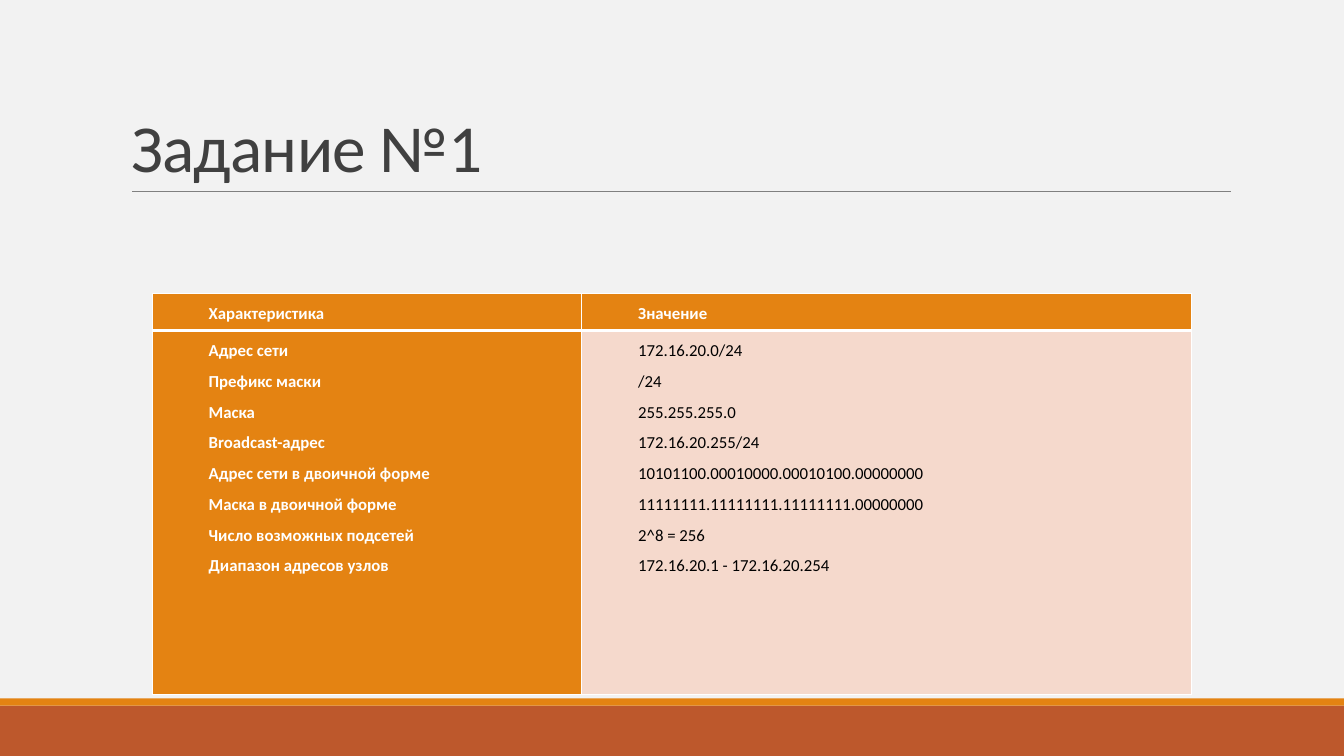
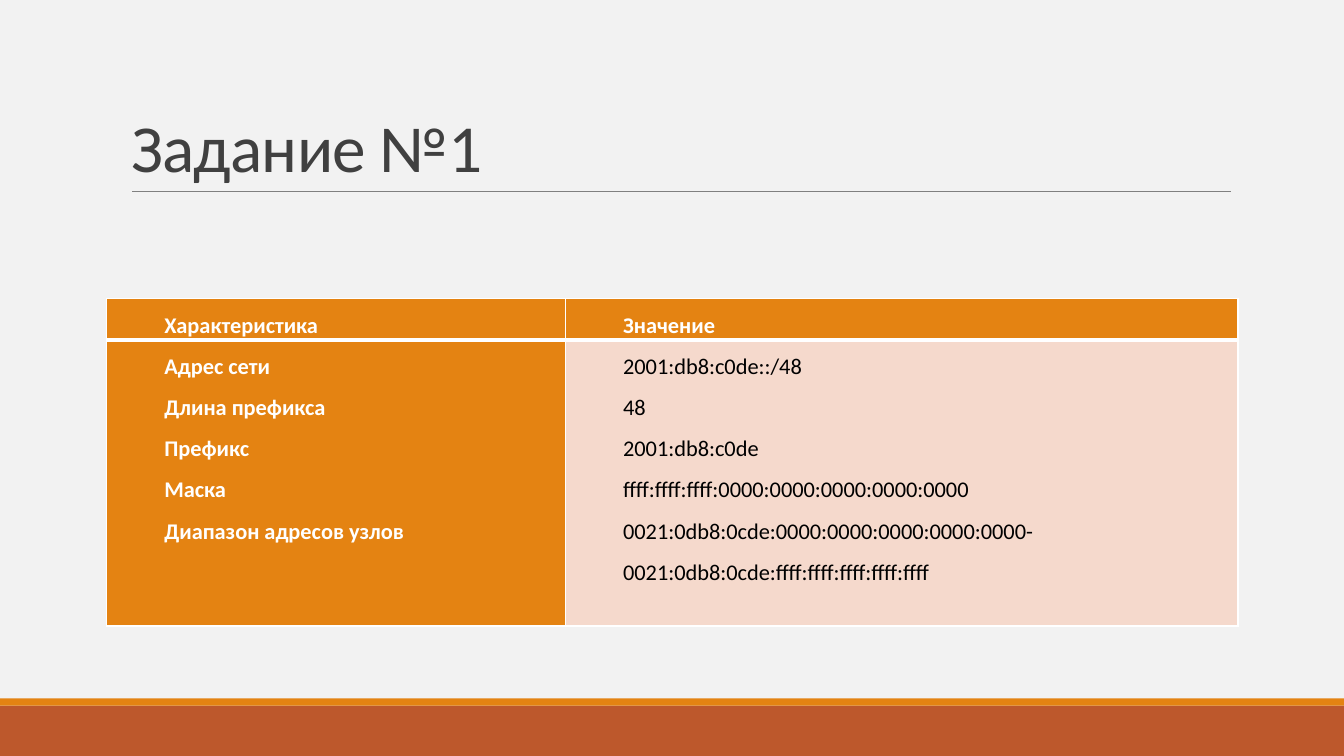
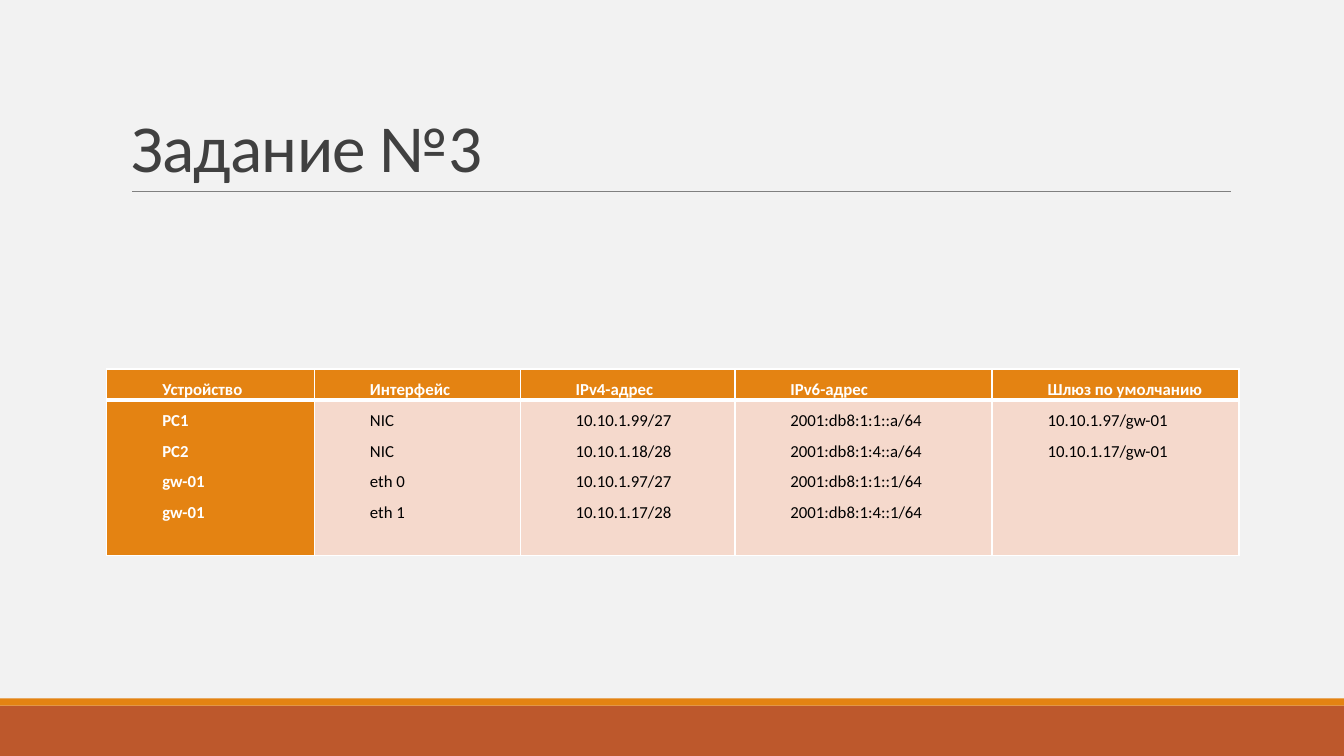
from lxml.etree import SubElement
from pptx import Presentation
from pptx.dml.color import RGBColor
from pptx.enum.shapes import MSO_CONNECTOR, MSO_SHAPE
from pptx.enum.text import MSO_ANCHOR, MSO_AUTO_SIZE, PP_ALIGN
from pptx.oxml import parse_xml
from pptx.oxml.ns import nsdecls, qn
from pptx.util import Inches, Pt

# Shared style
FONT = "Calibri"
BACKGROUND = RGBColor(0xF2, 0xF2, 0xF2)
RUST = RGBColor(0xBD, 0x58, 0x2C)
ORANGE = RGBColor(0xE4, 0x83, 0x12)
PINK = RGBColor(0xF5, 0xD9, 0xCC)
GRAY = RGBColor(0x80, 0x80, 0x80)
DARK = RGBColor(0x40, 0x40, 0x40)
WHITE = RGBColor(0xFF, 0xFF, 0xFF)
BLACK = RGBColor(0, 0, 0)
SLIDE_WIDTH = 13.33
THIN, THICK = 1, 3

# Table contents: one (heading, lines) pair per column
IPV4_COLUMNS = [
    ("Характеристика", [
        "Адрес сети", "Префикс маски", "Маска", "Broadcast-адрес",
        "Адрес сети в двоичной форме", "Маска в двоичной форме",
        "Число возможных подсетей", "Диапазон адресов узлов"]),
    ("Значение", [
        "172.16.20.0/24", "/24", "255.255.255.0", "172.16.20.255/24",
        "10101100.00010000.00010100.00000000",
        "11111111.11111111.11111111.00000000",
        "2^8 = 256", "172.16.20.1 - 172.16.20.254"]),
]
IPV6_COLUMNS = [
    ("Характеристика", [
        "Адрес сети", "Длина префикса", "Префикс", "Маска",
        "Диапазон адресов узлов"]),
    ("Значение", [
        "2001:db8:c0de::/48", "48", "2001:db8:c0de",
        "ffff:ffff:ffff:0000:0000:0000:0000:0000",
        "0021:0db8:0cde:0000:0000:0000:0000:0000-",
        "0021:0db8:0cde:ffff:ffff:ffff:ffff:ffff"]),
]
DEVICE_COLUMNS = [
    ("Устройство", ["PC1", "PC2", "gw-01", "gw-01"]),
    ("Интерфейс", ["NIC", "NIC", "eth 0", "eth 1"]),
    ("IPv4-адрес", ["10.10.1.99/27", "10.10.1.18/28",
                    "10.10.1.97/27", "10.10.1.17/28"]),
    ("IPv6-адрес", ["2001:db8:1:1::a/64", "2001:db8:1:4::a/64",
                    "2001:db8:1:1::1/64", "2001:db8:1:4::1/64"]),
    ("Шлюз по умолчанию", ["10.10.1.97/gw-01", "10.10.1.17/gw-01"]),
]


def add_band(slide, top, height, color):
    band = slide.shapes.add_shape(
        MSO_SHAPE.RECTANGLE, 0, Inches(top), Inches(SLIDE_WIDTH), Inches(height))
    band.shadow.inherit = False
    band.fill.solid()
    band.fill.fore_color.rgb = color
    band.line.fill.background()
    return band


def add_title_rule(slide):
    rule = slide.shapes.add_connector(
        MSO_CONNECTOR.STRAIGHT, Inches(1.31), Inches(1.9), Inches(12.21), Inches(1.9))
    rule.line.color.rgb = GRAY
    rule.line.width = Pt(0.5)
    SubElement(rule.element.spPr, qn("a:effectLst"))
    return rule


def prepare_layout(layout):
    """Set the background and title place, and drop the unused footers."""
    layout.background.fill.solid()
    layout.background.fill.fore_color.rgb = BACKGROUND
    for placeholder in list(layout.placeholders):
        if placeholder.placeholder_format.idx != 0:
            placeholder.element.getparent().remove(placeholder.element)
            continue
        placeholder.left, placeholder.top = Inches(1.2), Inches(0.31)
        placeholder.width, placeholder.height = Inches(11), Inches(1.59)


def decorate_layout(layout, slide):
    """Draw the bands and rule on a slide, then move them to its layout."""
    decorations = [
        add_band(slide, 7, 0.5, RUST),
        add_band(slide, 6.93, 0.07, ORANGE),
        add_title_rule(slide),
    ]
    for position, shape in enumerate(decorations, start=2):
        layout.shapes.element.insert(position, shape.element)


def style_font(font, size, color, bold=False):
    font.name = FONT
    font.size = Pt(size)
    font.color.rgb = color
    font.bold = bold


def set_title(slide, text):
    text_frame = slide.shapes.title.text_frame
    text_frame.text = text
    text_frame.auto_size = MSO_AUTO_SIZE.NONE
    text_frame.vertical_anchor = MSO_ANCHOR.BOTTOM
    paragraph = text_frame.paragraphs[0]
    paragraph.alignment = PP_ALIGN.LEFT
    paragraph.line_spacing = 0.85
    run = paragraph.runs[0]
    style_font(run.font, 48, DARK)
    run.font._element.set("spc", "-50")


def set_borders(cell, top, bottom):
    widths = {"lnL": THIN, "lnR": THIN, "lnT": top, "lnB": bottom}
    properties = cell._tc.get_or_add_tcPr()
    for position, (side, width) in enumerate(widths.items()):
        properties.insert(position, parse_xml(
            f'<a:{side} {nsdecls("a")} w="{Pt(width)}"><a:solidFill>'
            f'<a:srgbClr val="{WHITE}"/></a:solidFill></a:{side}>'))


def fill_cell(cell, lines, size, inset, strong):
    """Write the lines; strong cells are the heading row and first column."""
    cell.margin_left = cell.margin_right = Inches(inset)
    cell.margin_top = cell.margin_bottom = 0
    cell.fill.solid()
    cell.fill.fore_color.rgb = ORANGE if strong else PINK
    cell.text_frame.text = "\n".join(lines)
    for paragraph in cell.text_frame.paragraphs:
        paragraph.alignment = PP_ALIGN.JUSTIFY
        paragraph.line_spacing = 1.5
        paragraph._p.get_or_add_pPr().set("indent", str(Inches(0.49)))
        for run in paragraph.runs:
            style_font(run.font, size, WHITE if strong else BLACK, strong)


def add_text_table(slide, left, top, widths, heights, columns, size, inset):
    table = slide.shapes.add_table(
        2, len(columns), Inches(left), Inches(top),
        Inches(sum(widths)), Inches(sum(heights))).table
    table.horz_banding = False
    for row, height in zip(table.rows, heights):
        row.height = Inches(height)
    for index, (heading, lines) in enumerate(columns):
        table.columns[index].width = Inches(widths[index])
        heading_cell, body_cell = table.cell(0, index), table.cell(1, index)
        fill_cell(heading_cell, [heading], size, inset, True)
        set_borders(heading_cell, THIN, THICK)
        fill_cell(body_cell, lines, size, inset, index == 0)
        set_borders(body_cell, THICK, THIN)


def add_titled_slide(presentation, layout, title):
    slide = presentation.slides.add_slide(layout)
    set_title(slide, title)
    return slide


def main():
    presentation = Presentation()
    presentation.slide_width = Inches(SLIDE_WIDTH)
    presentation.slide_height = Inches(7.5)
    layout = presentation.slide_layouts.get_by_name("Title Only")
    prepare_layout(layout)

    # IPv4 network
    slide = add_titled_slide(presentation, layout, "Задание №1")
    decorate_layout(layout, slide)
    add_text_table(slide, 1.51, 2.91, [4.26, 6.05], [0.37, 3.61],
                   IPV4_COLUMNS, size=12, inset=0.07)

    # IPv6 network
    slide = add_titled_slide(presentation, layout, "Задание №1")
    add_text_table(slide, 1.06, 2.96, [4.55, 6.67], [0.41, 2.84],
                   IPV6_COLUMNS, size=16, inset=0.08)

    # Device addresses
    slide = add_titled_slide(presentation, layout, "Задание №3")
    add_text_table(slide, 1.06, 3.66, [2.06, 2.04, 2.13, 2.55, 2.45], [0.31, 1.54],
                   DEVICE_COLUMNS, size=12, inset=0.06)

    presentation.save("out.pptx")


if __name__ == "__main__":
    main()
